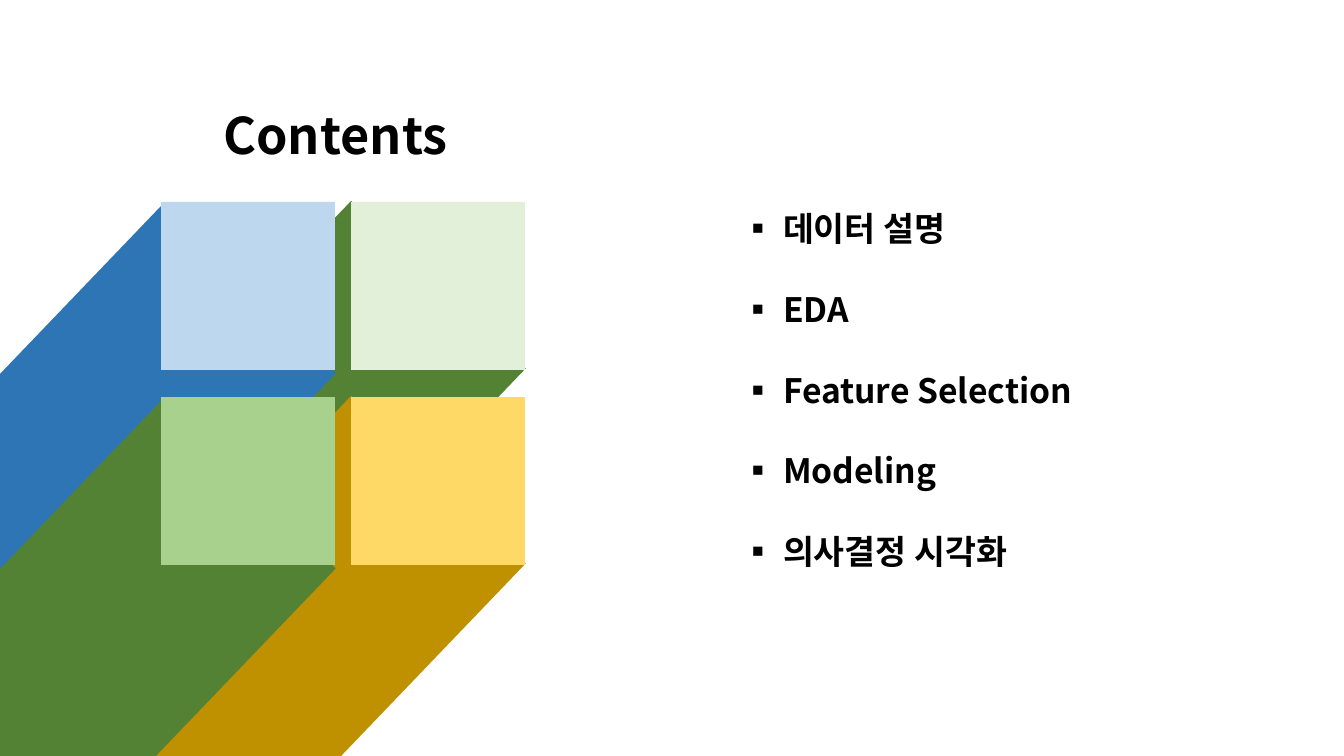
from pptx import Presentation
from pptx.dml.color import RGBColor
from pptx.enum.shapes import MSO_SHAPE
from pptx.enum.text import MSO_ANCHOR, PP_ALIGN
from pptx.oxml.ns import qn
from pptx.util import Emu, Pt
from lxml.etree import SubElement

PX = 914400 / 100.8
FONT = "Noto Sans CJK KR"
COLORS = {
    "text": "000000",
    "blue": "BDD7EE", "blue_shade": "2E75B6",
    "mint": "E2F0D9", "green": "A9D18E", "green_shade": "548235",
    "yellow": "FFD966", "yellow_shade": "BF9000",
}
TOPICS = ["데이터 설명", "EDA", "Feature Selection", "Modeling", "의사결정 시각화"]

# column, row, face colour, shade colour; shades stack in this order
TILES = [
    (1, 0, "mint", "green_shade"),
    (1, 1, "yellow", "yellow_shade"),
    (0, 0, "blue", "blue_shade"),
    (0, 1, "green", "green_shade"),
]


def px(length):
    return Emu(round(length * PX))


def add_block(slide, left, top, width, height, color, rotation=0):
    block = slide.shapes.add_shape(
        MSO_SHAPE.RECTANGLE, px(left), px(top), px(width), px(height))
    block.shadow.inherit = False
    block.fill.solid()
    block.fill.fore_color.rgb = RGBColor.from_string(COLORS[color])
    block.line.fill.background()
    block.rotation = rotation


def add_tiles(slide, left, top):
    """Two by two tiles, each casting a long diagonal shade."""
    tile_width, tile_height = 174, 168
    column_step, row_step = 190, 195
    corners = [(left + column * column_step, top + row * row_step)
               for column, row, _, _ in TILES]

    # Shades behind all the tiles; the left column's sit slightly lower
    for (x, y), (column, _, _, shade) in zip(corners, TILES):
        drop = 176 if column else 181
        add_block(slide, x - 415, y + drop, 594, 242, shade, 313.8)

    # Tile faces
    for (x, y), (_, _, face, _) in zip(corners, TILES):
        add_block(slide, x, y, tile_width, tile_height, face)


def add_text(slide, left, top, width, height, lines, size, spacing, align):
    box = slide.shapes.add_textbox(px(left), px(top), px(width), px(height))
    frame = box.text_frame
    frame.word_wrap = True
    frame.vertical_anchor = MSO_ANCHOR.MIDDLE
    frame.text = "\n".join(lines)
    for paragraph in frame.paragraphs:
        paragraph.alignment = align
        paragraph.line_spacing = spacing
        for run in paragraph.runs:
            run.font.size = Pt(size)
            run.font.bold = True
            run.font.name = FONT
            run.font.color.rgb = RGBColor.from_string(COLORS["text"])
            # Typeface for the Korean letters
            SubElement(run.font._element, qn("a:ea")).set("typeface", FONT)


def build_contents(presentation):
    slide = presentation.slides.add_slide(presentation.slide_layouts[6])
    add_tiles(slide, 161, 202)
    # Title
    add_text(slide, -10, 45, 691, 149, ["Contents"], 36, 1.5, PP_ALIGN.CENTER)
    # Topic list
    add_text(slide, 732, 215, 691, 309, [f"▪ {topic}" for topic in TOPICS],
             24, 2.0, PP_ALIGN.LEFT)


def main():
    presentation = Presentation()
    presentation.slide_width = px(1344)
    presentation.slide_height = px(756)
    build_contents(presentation)
    presentation.save("out.pptx")


if __name__ == "__main__":
    main()
